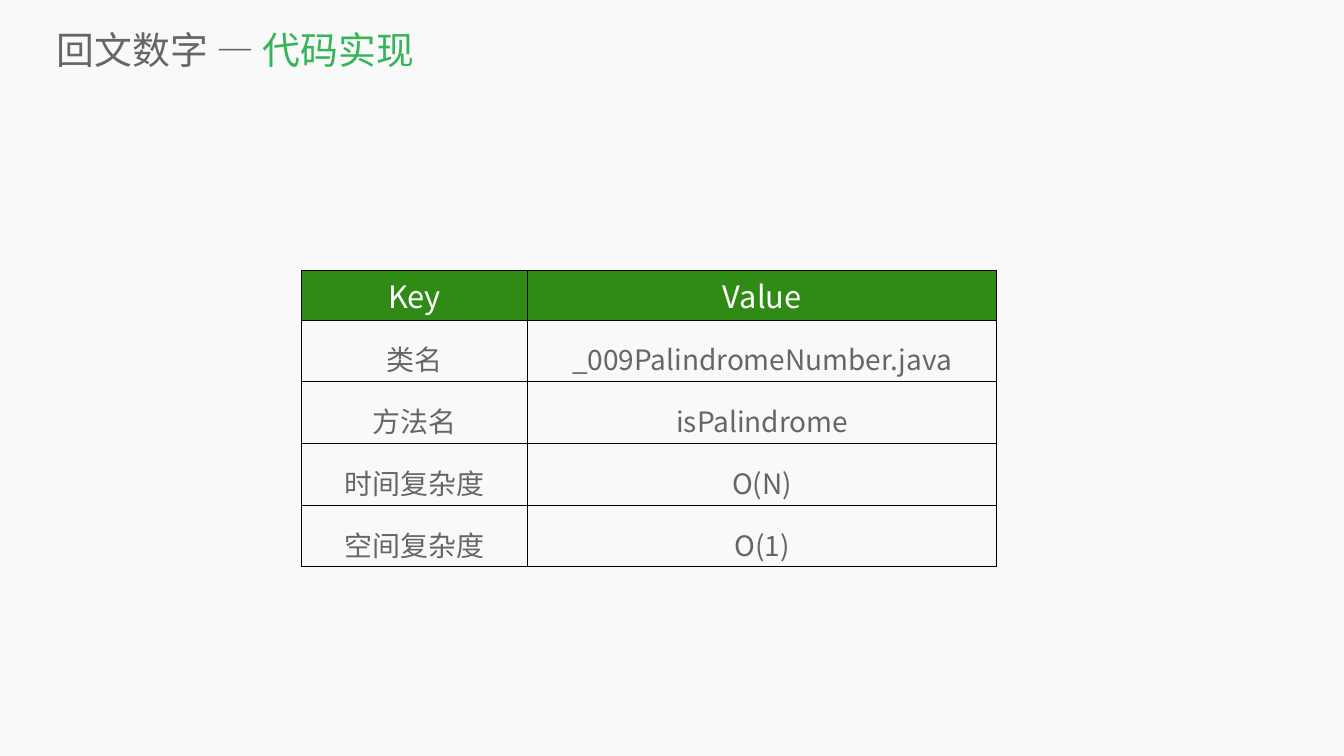
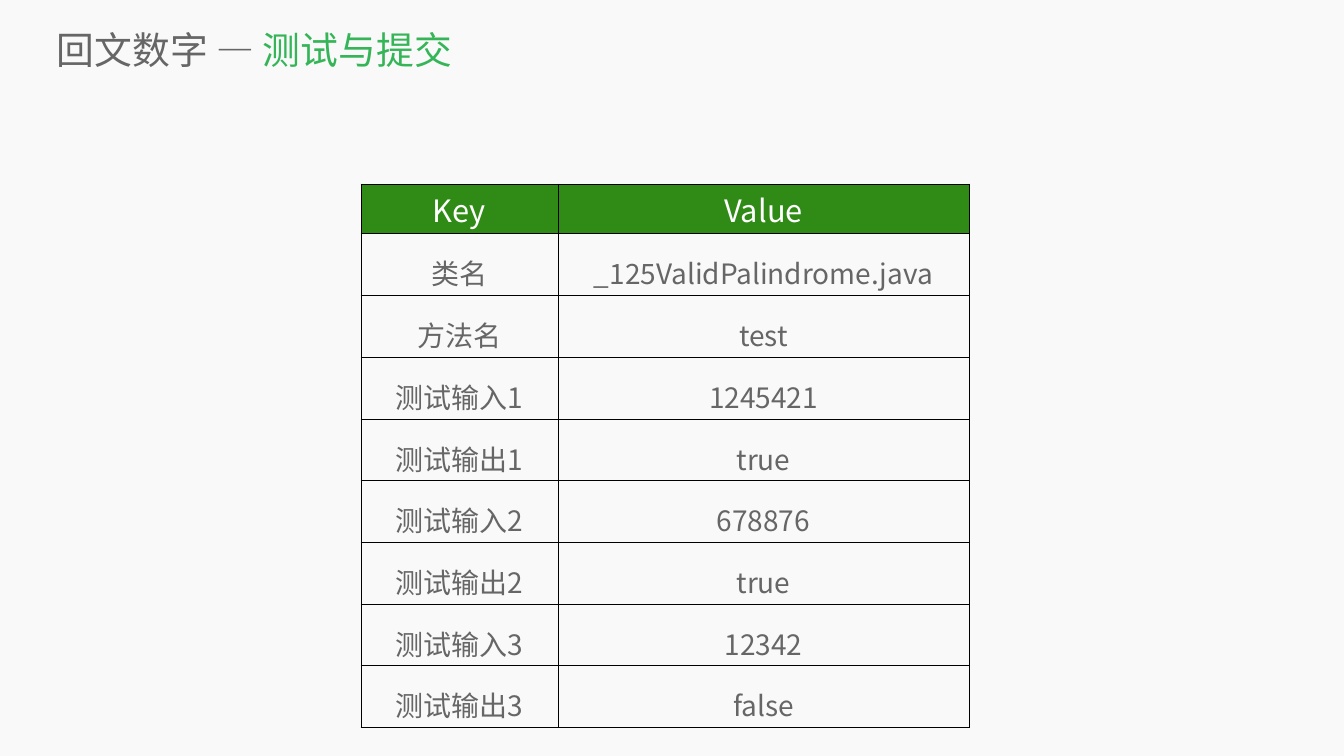
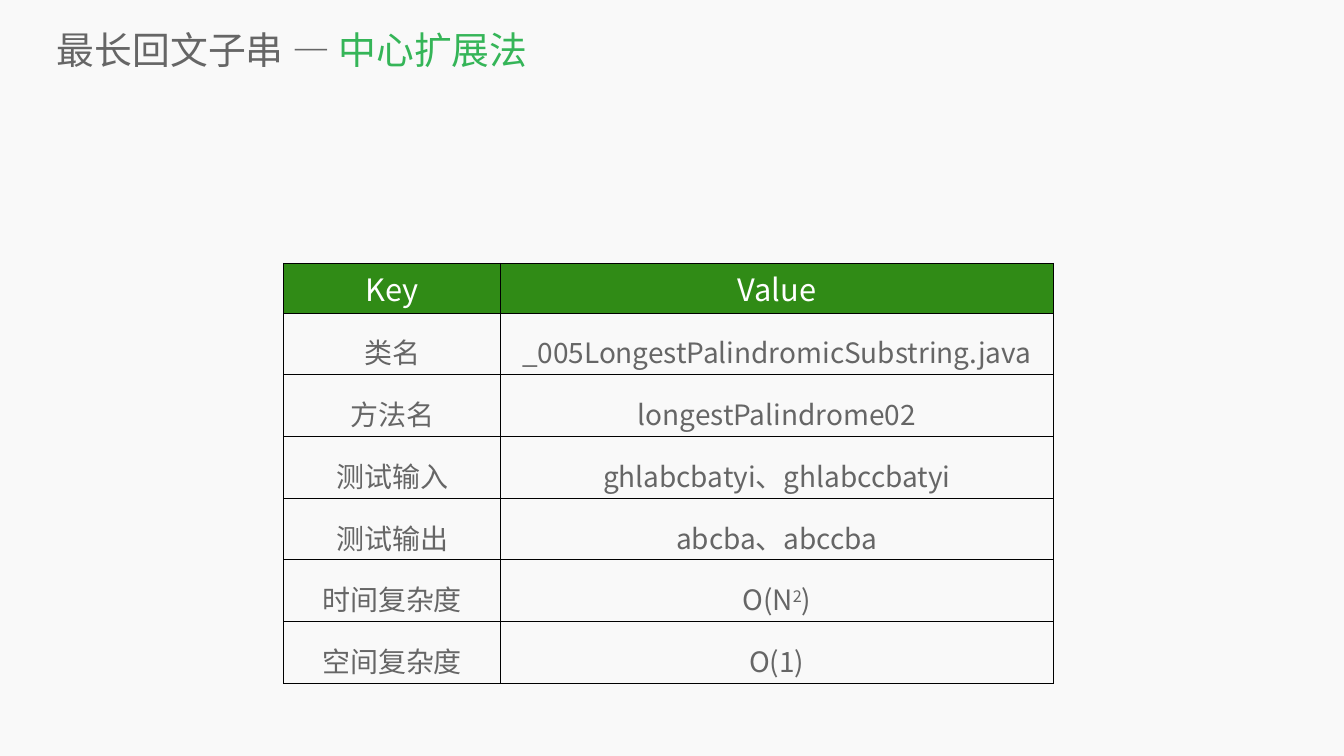
from dataclasses import dataclass

from lxml import etree
from pptx import Presentation
from pptx import util as u
from pptx.dml.color import RGBColor
from pptx.enum import text as t
from pptx.oxml.ns import qn


@dataclass(frozen=True)
class Theme:
    font: str = "Noto Sans CJK SC"
    background: str = "F9F9F9"
    body: str = "666666"
    accent: str = "35B558"
    header_fill: str = "308B16"
    header_text: str = "FFFFFF"
    border: str = "000000"
    title_size: int = 54
    header_size: int = 44
    body_size: int = 40
    border_width: int = 1
    line_spacing: float = 1.4


@dataclass(frozen=True)
class Superscript:
    text: str


Pieces = tuple[str | Superscript, ...]


@dataclass(frozen=True)
class KeyValueSlide:
    problem: str
    topic: str
    left: float
    top: float
    columns: tuple[float, float]
    rows: tuple[tuple[str, str | Pieces], ...]


THEME = Theme()
SLIDE_WIDTH, SLIDE_HEIGHT = 67.74, 38.1
TITLE_BOX = (2.87, 1.19, 63.91, 2.59)
HEADER = ("Key", "Value")
HEADER_HEIGHT, ROW_HEIGHT = 2.16, 2.11

SLIDES = (
    KeyValueSlide("回文数字", "代码实现", 15.19, 13.61, (11.4, 23.65), (
        ("类名", "_009PalindromeNumber.java"),
        ("方法名", "isPalindrome"),
        ("时间复杂度", "O(N)"),
        ("空间复杂度", "O(1)"),
    )),
    KeyValueSlide("回文数字", "测试与提交", 18.19, 9.27, (9.93, 20.72), (
        ("类名", "_125ValidPalindrome.java"),
        ("方法名", "test"),
        ("测试输入1", "1245421"),
        ("测试输出1", "true"),
        ("测试输入2", "678876"),
        ("测试输出2", "true"),
        ("测试输入3", "12342"),
        ("测试输出3", "false"),
    )),
    KeyValueSlide("最长回文子串", "中心扩展法", 14.3, 13.26, (10.92, 27.86), (
        ("类名", "_005LongestPalindromicSubstring.java"),
        ("方法名", "longestPalindrome02"),
        ("测试输入", "ghlabcbatyi、ghlabccbatyi"),
        ("测试输出", "abcba、abccba"),
        ("时间复杂度", ("O(N", Superscript("2"), ")")),
        ("空间复杂度", "O(1)"),
    )),
)


def add_text(paragraph, text: str, *, size: int, color: str, superscript: bool = False) -> None:
    """Append one formatted run to a paragraph."""
    run = paragraph.add_run()
    run.text = text
    run.font.size = u.Pt(size)
    run.font.name = THEME.font
    run.font.color.rgb = RGBColor.from_string(color)
    properties = run.font._element
    etree.SubElement(properties, qn("a:ea"), typeface=THEME.font)
    if superscript:
        properties.set("baseline", "30000")


def add_borders(cell) -> None:
    """Draw all four sides of a cell."""
    properties = cell._tc.get_or_add_tcPr()
    for side in ("lnL", "lnR", "lnT", "lnB"):
        line = etree.SubElement(properties, qn(f"a:{side}"), w=str(u.Pt(THEME.border_width)))
        fill = etree.SubElement(line, qn("a:solidFill"))
        etree.SubElement(fill, qn("a:srgbClr"), val=THEME.border)


def fill_cell(cell, content: str | Pieces, *, is_header: bool) -> None:
    add_borders(cell)
    paragraph = cell.text_frame.paragraphs[0]
    paragraph.alignment = t.PP_ALIGN.CENTER
    if is_header:
        cell.fill.solid()
        cell.fill.fore_color.rgb = RGBColor.from_string(THEME.header_fill)
        size, color = THEME.header_size, THEME.header_text
    else:
        cell.fill.background()
        paragraph.line_spacing = THEME.line_spacing
        size, color = THEME.body_size, THEME.body
    for piece in (content,) if isinstance(content, str) else content:
        raised = isinstance(piece, Superscript)
        add_text(paragraph, piece.text if raised else piece,
                 size=size, color=color, superscript=raised)


def set_title(slide, problem: str, topic: str) -> None:
    title = slide.shapes.title
    title.left, title.top, title.width, title.height = map(u.Cm, TITLE_BOX)
    frame = title.text_frame
    frame.margin_left = frame.margin_right = frame.margin_top = frame.margin_bottom = 0
    frame.vertical_anchor = t.MSO_ANCHOR.MIDDLE
    frame.auto_size = t.MSO_AUTO_SIZE.NONE
    frame.word_wrap = True
    heading = frame.paragraphs[0]
    heading.alignment = t.PP_ALIGN.LEFT
    add_text(heading, f"{problem} — ", size=THEME.title_size, color=THEME.body)
    add_text(heading, topic, size=THEME.title_size, color=THEME.accent)


def add_key_value_table(slide, content: KeyValueSlide) -> None:
    rows = (HEADER, *content.rows)
    heights = [HEADER_HEIGHT] + [ROW_HEIGHT] * len(content.rows)
    table = slide.shapes.add_table(
        len(rows), len(HEADER), u.Cm(content.left), u.Cm(content.top),
        u.Cm(sum(content.columns)), u.Cm(sum(heights))).table
    table.horz_banding = False
    for column, width in zip(table.columns, content.columns):
        column.width = u.Cm(width)
    for index, (row, height, values) in enumerate(zip(table.rows, heights, rows)):
        row.height = u.Cm(height)
        for cell, value in zip(row.cells, values):
            fill_cell(cell, value, is_header=index == 0)


def main() -> None:
    deck = Presentation()
    deck.slide_width, deck.slide_height = u.Cm(SLIDE_WIDTH), u.Cm(SLIDE_HEIGHT)

    # Shared background
    backdrop = deck.slide_master.background.fill
    backdrop.solid()
    backdrop.fore_color.rgb = RGBColor.from_string(THEME.background)

    # One title and one table per slide
    title_only = deck.slide_layouts.get_by_name("Title Only")
    for content in SLIDES:
        slide = deck.slides.add_slide(title_only)
        set_title(slide, content.problem, content.topic)
        add_key_value_table(slide, content)

    deck.save("out.pptx")


if __name__ == "__main__":
    main()
